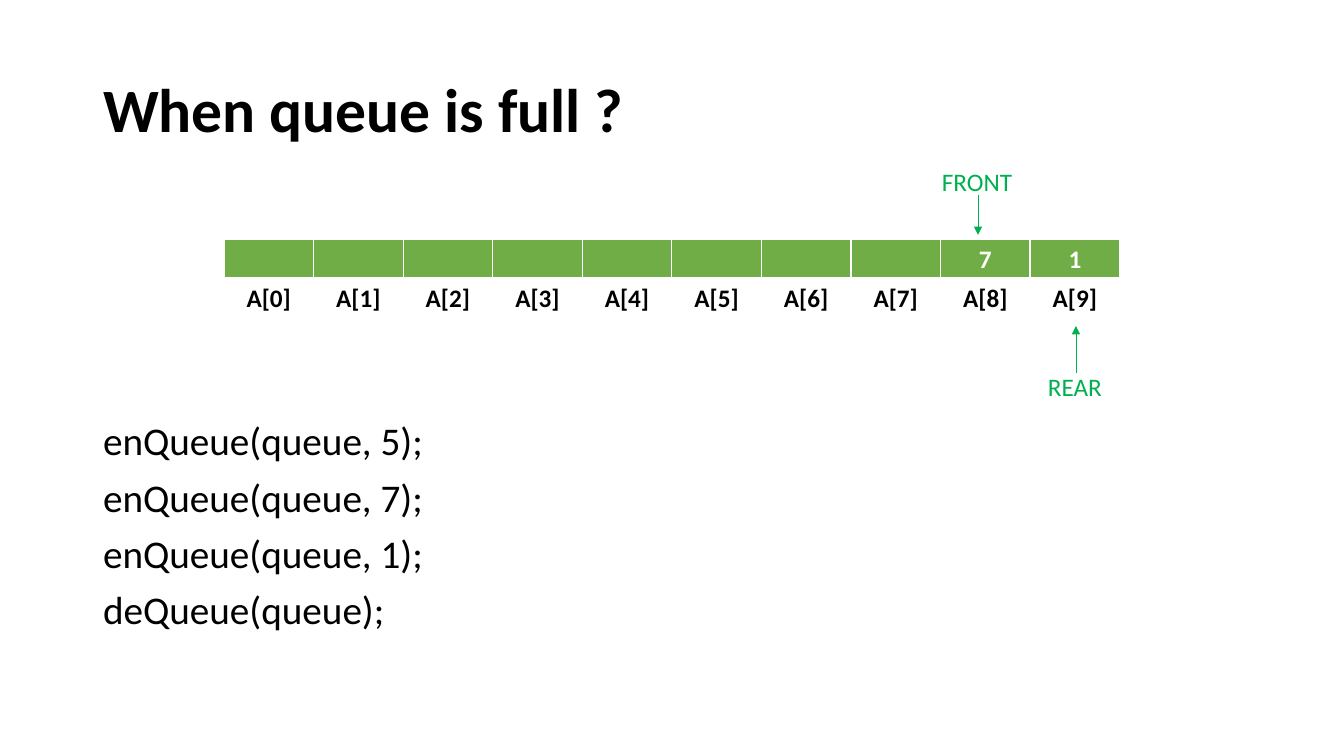
from lxml import etree
from pptx import Presentation
from pptx.dml.color import RGBColor
from pptx.enum.shapes import MSO_CONNECTOR
from pptx.enum.text import MSO_ANCHOR, MSO_AUTO_SIZE, PP_ALIGN
from pptx.oxml.ns import qn
from pptx.util import Emu, Pt

STRAIGHT = MSO_CONNECTOR.STRAIGHT
LEFT, CENTER = PP_ALIGN.LEFT, PP_ALIGN.CENTER
TOP, MIDDLE = MSO_ANCHOR.TOP, MSO_ANCHOR.MIDDLE
NO_FIT, GROW = MSO_AUTO_SIZE.NONE, MSO_AUTO_SIZE.SHAPE_TO_FIT_TEXT

BLACK = RGBColor(0x00, 0x00, 0x00)
WHITE = RGBColor(0xFF, 0xFF, 0xFF)
CELL_GREEN = RGBColor(0x70, 0xAD, 0x47)
POINTER_GREEN = RGBColor(0x00, 0xB0, 0x50)

FONT = "Calibri"
EMU_PER_PIXEL = 914400 / 100.8
QUEUE_SIZE = 10
QUEUE_VALUES = [""] * 8 + ["7", "1"]
INDEX_LABELS = [f"A[{index}]" for index in range(QUEUE_SIZE)]
CALLS = ["enQueue(queue, 5);", "enQueue(queue, 7);",
         "enQueue(queue, 1);", "deQueue(queue);"]
BORDERS = {"a:lnL": 1, "a:lnR": 1, "a:lnT": 1, "a:lnB": 3}


def px(*lengths):
    """Turn pixel lengths into a list of EMU lengths."""
    return [Emu(round(length * EMU_PER_PIXEL)) for length in lengths]


def write_text(paragraph, text, size=18, color=BLACK, bold=False, align=LEFT,
               line_spacing=None, space_before=0):
    """Write one formatted run into a paragraph."""
    paragraph.alignment = align
    paragraph.line_spacing = line_spacing
    paragraph.space_before = Pt(space_before)
    run = paragraph.add_run()
    run.text = text
    run.font.name = FONT
    run.font.size = Pt(size)
    run.font.bold = bold
    run.font.color.rgb = color


def fill_placeholder(placeholder, box, lines, anchor, **text_format):
    """Place a template placeholder and write its lines without bullets."""
    placeholder.left, placeholder.top, placeholder.width, placeholder.height = px(*box)
    frame = placeholder.text_frame
    frame.auto_size = NO_FIT
    frame.vertical_anchor = anchor
    for number, line in enumerate(lines):
        paragraph = frame.add_paragraph() if number else frame.paragraphs[0]
        write_text(paragraph, line, line_spacing=0.9, **text_format)
        properties = paragraph._p.get_or_add_pPr()
        properties.set("marL", "0")
        properties.set("indent", "0")
        etree.SubElement(properties, qn("a:buNone"))


def add_borders(cell):
    """Draw the white borders of a cell."""
    properties = cell._tc.get_or_add_tcPr()
    for tag, width in BORDERS.items():
        border = etree.SubElement(properties, qn(tag), w=str(Pt(width)))
        fill = etree.SubElement(border, qn("a:solidFill"))
        etree.SubElement(fill, qn("a:srgbClr"), val=str(WHITE))


def add_array_row(slide, top, values, color, fill=None):
    """Add a one-row table with one cell for each array slot."""
    table = slide.shapes.add_table(1, len(values), *px(224, top, 896, 41)).table
    table.first_row = table.horz_banding = False
    for cell, value in zip(table.rows[0].cells, values):
        add_borders(cell)
        if fill is None:
            cell.fill.background()
        else:
            cell.fill.solid()
            cell.fill.fore_color.rgb = fill
        if value:
            write_text(cell.text_frame.paragraphs[0], value, color=color,
                       bold=True, align=CENTER)


def add_pointer(slide, label, label_box, x, start, end):
    """Add a grouped label and vertical arrow that mark an array slot."""
    pointer = slide.shapes.add_group_shape().shapes
    arrow = pointer.add_connector(STRAIGHT, *px(x, start, x, end))
    arrow.line.color.rgb = POINTER_GREEN
    arrow.line.width = Pt(0.5)
    etree.SubElement(arrow.line._get_or_add_ln(), qn("a:tailEnd"), type="triangle")
    etree.SubElement(arrow._element.spPr, qn("a:effectLst"))
    frame = pointer.add_textbox(*px(*label_box)).text_frame
    frame.word_wrap = False
    frame.auto_size = GROW
    write_text(frame.paragraphs[0], label, color=POINTER_GREEN)


def main():
    """Build the slide about a full queue."""
    deck = Presentation()
    deck.slide_width, deck.slide_height = px(1344, 756)
    slide = deck.slides.add_slide(deck.slide_layouts[1])
    title, calls = slide.placeholders
    fill_placeholder(title, (93, 40, 1159, 146), ["When queue is full ?"], MIDDLE,
                     size=44, bold=True)
    fill_placeholder(calls, (93, 417, 1159, 322), CALLS, TOP,
                     size=28, space_before=10)
    add_array_row(slide, 239, QUEUE_VALUES, WHITE, fill=CELL_GREEN)
    add_array_row(slide, 278, INDEX_LABELS, BLACK)
    add_pointer(slide, "FRONT", (932, 161, 91, 40), 978, 195, 235)
    add_pointer(slide, "REAR", (1038, 366, 75, 40), 1076, 373, 326)
    deck.save("out.pptx")


main()
